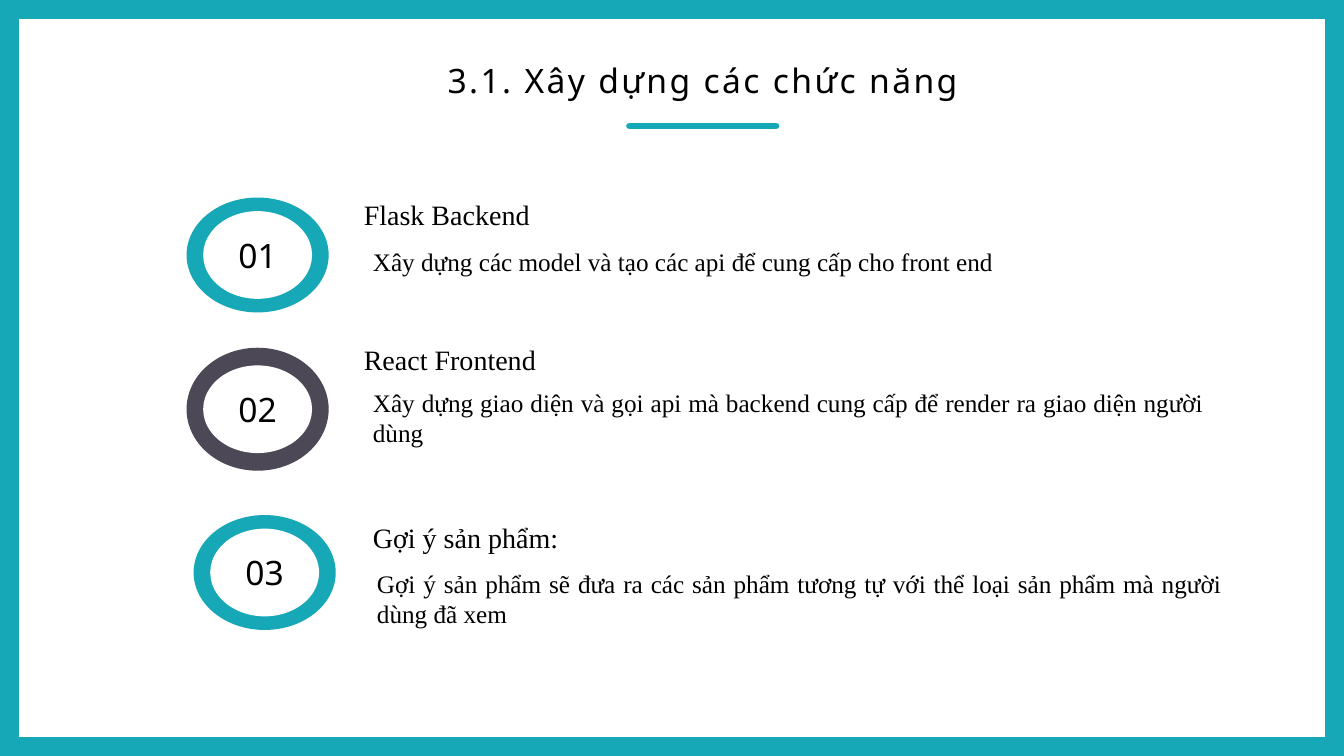
from lxml import etree
from pptx import Presentation
from pptx.dml.color import RGBColor as RGB
from pptx.enum.shapes import MSO_CONNECTOR as LINE, MSO_SHAPE as SHAPE
from pptx.enum.text import MSO_ANCHOR as ANCHOR, PP_ALIGN as ALIGN
from pptx.oxml.ns import qn
from pptx.util import Inches, Pt

COLORS = {"teal": "16A8B6", "plum": "4C4856", "white": "FFFFFF", "black": "000000"}
SANS, SERIF = "Noto Sans", "Times New Roman"
WIDE, HIGH, EDGE = 13.33, 7.5, 0.19

# Ring box and color, number, heading box and text, body box and text
ITEMS = [
    ((1.85, 1.96, 1.41, 1.14), "teal", "01",
     (3.51, 1.91, 2.23, 0.37), "Flask Backend",
     (3.6, 2.39, 8.48, 0.63),
     "Xây dựng các model và tạo các api để cung cấp cho front end"),
    ((1.85, 3.45, 1.41, 1.22), "plum", "02",
     (3.51, 3.35, 2.23, 0.37), "React Frontend",
     (3.6, 3.79, 8.44, 1.02),
     "Xây dựng giao diện và gọi api mà backend cung cấp để render ra giao diện người dùng"),
    ((1.92, 5.11, 1.41, 1.14), "teal", "03",
     (3.6, 5.11, 2.23, 0.37), "Gợi ý sản phẩm:",
     (3.64, 5.59, 8.58, 0.67),
     "Gợi ý sản phẩm sẽ đưa ra các sản phẩm tương tự với thể loại sản phẩm mà người dùng đã xem"),
]


def color(name):
    return RGB.from_string(COLORS[name])


def add_shape(slide, kind, box, fill):
    shape = slide.shapes.add_shape(kind, *map(Inches, box))
    shape.shadow.inherit = False
    shape.fill.solid()
    shape.fill.fore_color.rgb = color(fill)
    shape.line.fill.background()
    return shape


def add_text(slide, box, text, shape=None, size=18, font=SERIF,
             align=ALIGN.LEFT, anchor=ANCHOR.TOP, wrap=True, gap=None):
    """Write text in the shape, or in a new text box; gap is letter spacing in points."""
    shape = shape or slide.shapes.add_textbox(*map(Inches, box))
    frame = shape.text_frame
    frame.word_wrap = wrap
    frame.vertical_anchor = anchor
    para = frame.paragraphs[0]
    para.alignment = align
    run = para.add_run()
    run.text = text
    run.font.size = Pt(size)
    run.font.name = font
    run.font.color.rgb = color("black")
    if gap:
        run.font._element.set("spc", str(round(gap * 100)))


def add_frame(slide, box):
    left, top, width, height = box
    add_shape(slide, SHAPE.RECTANGLE, box, "teal")
    inner = (left + EDGE, top + EDGE, width - 2 * EDGE, height - 2 * EDGE)
    add_shape(slide, SHAPE.RECTANGLE, inner, "white")


def add_title(slide, box, text):
    """Place the title and the short round-ended rule under it."""
    left, top, width, height = box
    add_text(slide, box, text, size=24, font=SANS, align=ALIGN.CENTER, gap=1.7)
    mid, y, half = left + width / 2, top + height - 0.01, 0.725
    rule = slide.shapes.add_connector(
        LINE.STRAIGHT, *map(Inches, (mid - half, y, mid + half, y)))
    rule.line.color.rgb = color("teal")
    rule.line.width = Pt(5)
    rule.line._ln.set("cap", "rnd")
    etree.SubElement(rule._element.spPr, qn("a:effectLst"))


def add_ring(slide, box, fill, number):
    left, top, width, height = box
    add_shape(slide, SHAPE.OVAL, box, fill)
    wide, high = 1.08, 0.87
    hole = (left + (width - wide) / 2, top + (height - high) / 2, wide, high)
    disc = add_shape(slide, SHAPE.OVAL, hole, "white")
    add_text(slide, hole, number, shape=disc, size=24, font=SANS,
             align=ALIGN.CENTER, anchor=ANCHOR.MIDDLE)


def add_item(slide, ring, fill, number, head, name, body, text):
    add_ring(slide, ring, fill, number)
    add_text(slide, head, name, size=20, wrap=False)
    add_text(slide, body, text, align=ALIGN.JUSTIFY)


def main():
    deck = Presentation()
    deck.slide_width, deck.slide_height = Inches(WIDE), Inches(HIGH)
    slide = deck.slides.add_slide(deck.slide_layouts[6])
    add_frame(slide, (0, 0, WIDE, HIGH))
    for item in ITEMS:
        add_item(slide, *item)
    add_title(slide, (4.18, 0.54, 5.58, 0.72), "3.1. Xây dựng các chức năng")
    deck.save("out.pptx")


if __name__ == "__main__":
    main()
